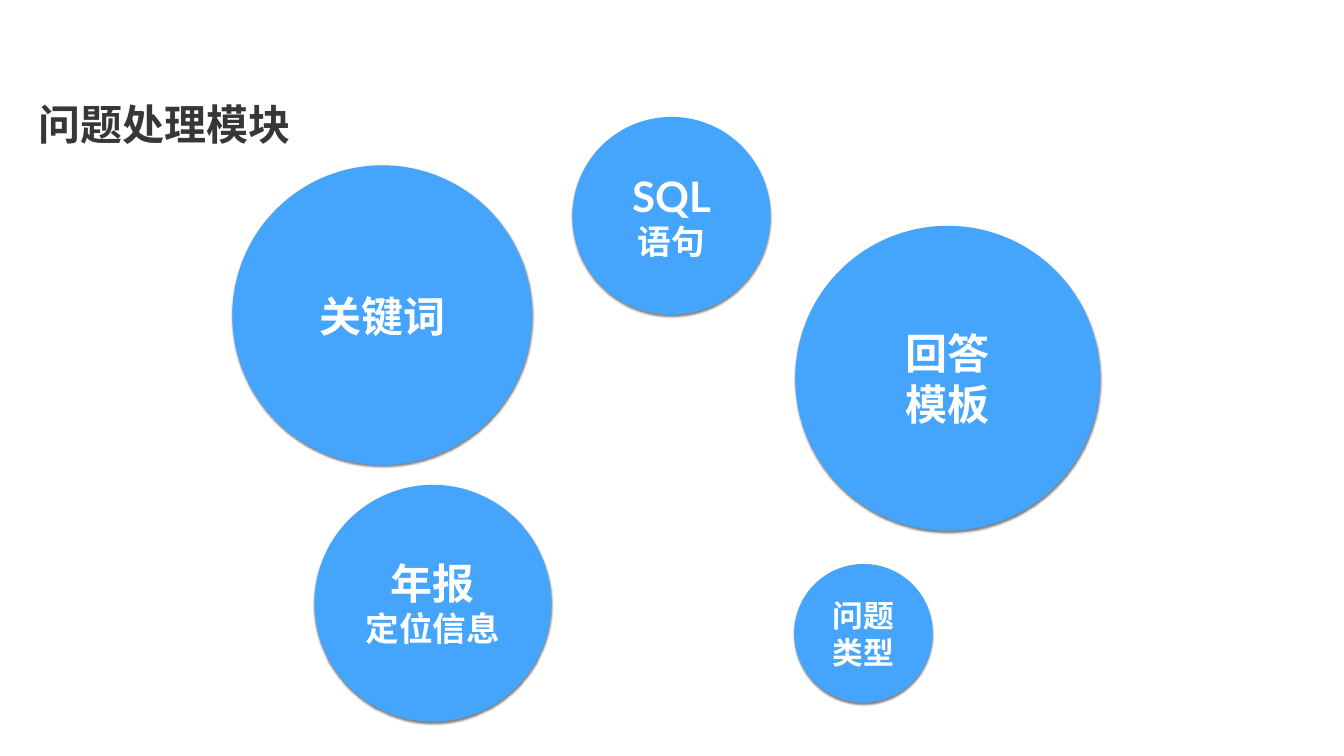
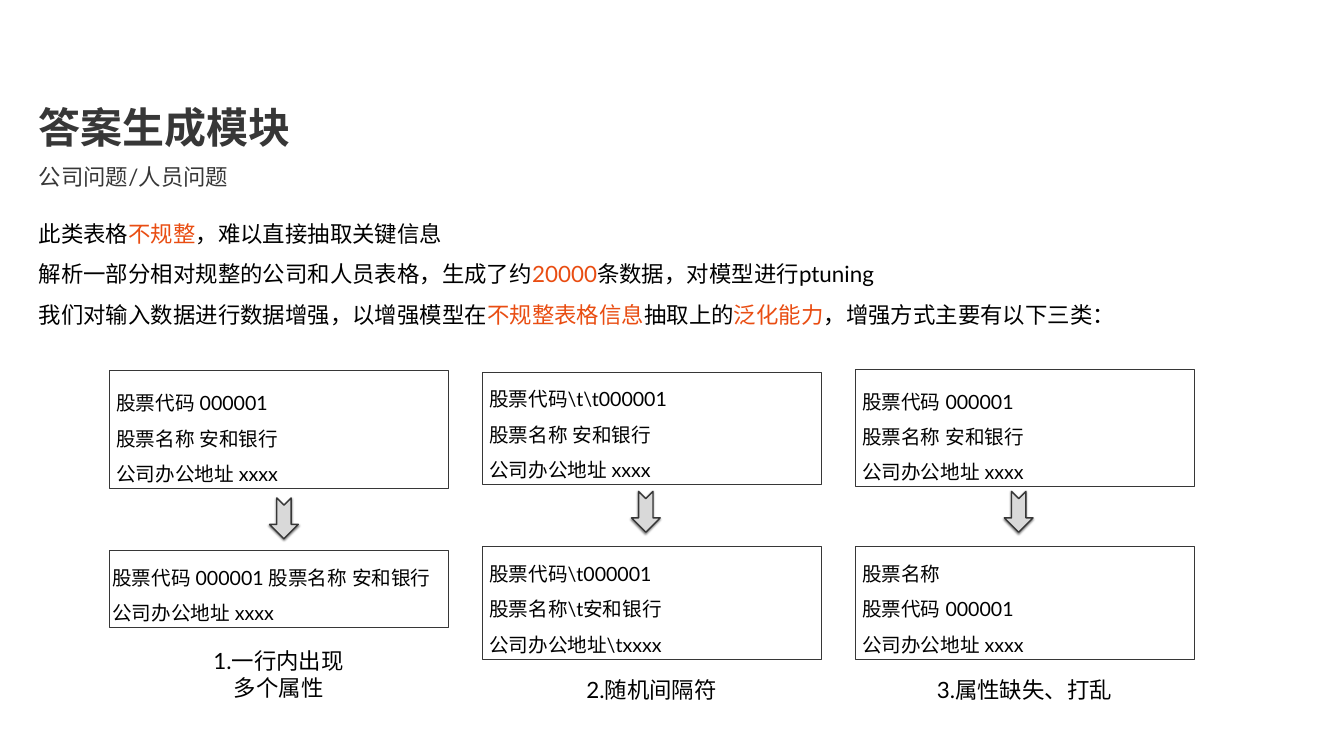
from dataclasses import dataclass

from lxml.etree import SubElement
from pptx import Presentation
from pptx.dml.color import RGBColor
from pptx.enum.shapes import MSO_SHAPE
from pptx.enum.text import MSO_ANCHOR, PP_ALIGN
from pptx.oxml.ns import qn
from pptx.shapes.autoshape import Shape
from pptx.slide import Slide
from pptx.util import Inches, Pt


@dataclass(frozen=True)
class Theme:
    font: str = "Lato"
    ink: str = "373737"
    black: str = "000000"
    white: str = "FFFFFF"
    blue: str = "45A4FC"
    gray: str = "D9D9D9"
    accent: str = "E94D12"
    title: int = 60
    large: int = 48
    medium: int = 44
    body: int = 32
    small: int = 28


@dataclass(frozen=True)
class Bubble:
    left: float
    top: float
    size: float
    lines: tuple[str, ...]
    points: tuple[int, ...]


@dataclass(frozen=True)
class Box:
    top: float
    height: float
    lines: tuple[str, ...]
    indent: float = 0.08


@dataclass(frozen=True)
class Case:
    before: Box
    after: Box
    arrow: tuple[float, float]
    label: tuple[str, ...]
    base: float
    height: float


THEME = Theme()
PITCH = 7.4
WIDTH = 6.73

BUBBLES = (
    Bubble(11.36, 2.32, 3.93, ("SQL", "语句"), (THEME.title, THEME.large)),
    Bubble(15.78, 4.48, 6.05, ("回答", "模板"), (THEME.title,) * 2),
    Bubble(15.76, 11.19, 2.75, ("问题", "类型"), (THEME.medium,) * 2),
    Bubble(6.24, 9.62, 4.7, ("年报", "定位信息"), (THEME.title, THEME.large)),
    Bubble(4.61, 3.28, 5.95, ("关键词",), (THEME.title,)),
)

CODE = "股票代码 000001"
NAME = "股票名称 安和银行"
PLACE = "公司办公地址 xxxx"

CASES = (
    Case(
        Box(7.35, 2.34, (CODE, NAME, PLACE)),
        Box(10.92, 1.53, (f"{CODE} {NAME}", PLACE), 0),
        (3.06, 10), ("1.一行内出现", "多个属性"), 12.83, 1.1,
    ),
    Case(
        Box(7.38, 2.23, (r"股票代码\t\t000001", NAME, PLACE)),
        Box(10.85, 2.23, (r"股票代码\t000001", r"股票名称\t安和银行", r"公司办公地址\txxxx")),
        (2.84, 9.87), ("2.随机间隔符",), 13.38, 0.6,
    ),
    Case(
        Box(7.32, 2.34, (CODE, NAME, PLACE)),
        Box(10.85, 2.23, ("股票名称", CODE, PLACE)),
        (2.84, 9.87), ("3.属性缺失、打乱",), 13.38, 0.6,
    ),
)

NOTES = (
    "此类表格*不规整*，难以直接抽取关键信息",
    "解析一部分相对规整的公司和人员表格，生成了约*20000*条数据，对模型进行ptuning",
    "我们对输入数据进行数据增强，以增强模型在*不规整表格信息*抽取上的*泛化能力*，增强方式主要有以下三类：",
)


def write(
    shape: Shape,
    lines: tuple[str, ...],
    *,
    points: tuple[int, ...] = (THEME.body,),
    color: str = THEME.black,
    bold: bool = False,
    align: PP_ALIGN = PP_ALIGN.LEFT,
    anchor: MSO_ANCHOR = MSO_ANCHOR.MIDDLE,
    pace: float = 1.0,
    indent: float = 0,
) -> None:
    frame = shape.text_frame
    frame.word_wrap = True
    frame.vertical_anchor = anchor
    frame.margin_left = Inches(0.06 + indent)
    frame.margin_right = frame.margin_top = frame.margin_bottom = Inches(0.06)
    for row, line in enumerate(lines):
        para = frame.add_paragraph() if row else frame.paragraphs[0]
        para.alignment = align
        para.line_spacing = pace
        for part, text in enumerate(line.split("*")):
            run = para.add_run()
            run.text = text
            font = run.font
            font.name = THEME.font
            font.size = Pt(points[min(row, len(points) - 1)])
            font.bold = bold
            font.color.rgb = RGBColor.from_string(THEME.accent if part % 2 else color)
            SubElement(run._r.get_or_add_rPr(), qn("a:ea"), typeface=THEME.font)


def label(
    slide: Slide, left: float, top: float, width: float, height: float,
    lines: tuple[str, ...], **style,
) -> None:
    box = slide.shapes.add_textbox(Inches(left), Inches(top), Inches(width), Inches(height))
    write(box, lines, **style)


def head(slide: Slide, text: str, top: float) -> None:
    label(slide, 0.71, top, 7.45, 1.12, (text,),
          points=(THEME.title,), color=THEME.ink, bold=True)


def cast(shape: Shape) -> None:
    effects = shape._element.spPr.find(qn("a:effectLst"))
    shade = SubElement(
        effects, qn("a:outerShdw"), blurRad=str(Pt(3)), dist=str(Pt(2)),
        dir="5400000", rotWithShape="0",
    )
    tone = SubElement(shade, qn("a:srgbClr"), val=THEME.black)
    SubElement(tone, qn("a:alpha"), val="50000")


def draw(
    slide: Slide, kind: MSO_SHAPE, left: float, top: float, width: float, height: float,
    *, fill: str = "", line: float = 0, shade: bool = False,
) -> Shape:
    shape = slide.shapes.add_shape(
        kind, Inches(left), Inches(top), Inches(width), Inches(height))
    shape.shadow.inherit = False
    if fill:
        shape.fill.solid()
        shape.fill.fore_color.rgb = RGBColor.from_string(fill)
    else:
        shape.fill.background()
    if line:
        shape.line.color.rgb = RGBColor.from_string(THEME.ink)
        shape.line.width = Pt(line)
    else:
        shape.line.fill.background()
    if shade:
        cast(shape)
    return shape


def panel(slide: Slide, left: float, box: Box) -> None:
    shape = draw(slide, MSO_SHAPE.RECTANGLE, left, box.top, WIDTH, box.height, line=1)
    write(shape, box.lines, points=(THEME.small,), pace=1.5,
          anchor=MSO_ANCHOR.BOTTOM, indent=box.indent)


def show(slide: Slide, left: float, case: Case) -> None:
    panel(slide, left, case.before)
    panel(slide, left, case.after)
    shift, top = case.arrow
    arrow = draw(slide, MSO_SHAPE.NOTCHED_RIGHT_ARROW, left + shift, top, 0.81, 0.57,
                 fill=THEME.gray, line=2, shade=True)
    arrow.rotation = 90
    label(slide, left + 1.38, case.base, 3.96, case.height, case.label,
          align=PP_ALIGN.CENTER)


def topics(slide: Slide) -> None:
    head(slide, "问题处理模块", 1.9)
    for item in BUBBLES:
        disc = draw(slide, MSO_SHAPE.OVAL, item.left, item.top, item.size, item.size,
                    fill=THEME.blue, shade=True)
        write(disc, item.lines, points=item.points, color=THEME.white,
              bold=True, align=PP_ALIGN.CENTER)


def answers(slide: Slide) -> None:
    label(slide, 0.71, 4.04, 23.78, 2.54, NOTES, pace=1.5, anchor=MSO_ANCHOR.TOP)
    for index, case in enumerate(CASES):
        show(slide, 2.17 + index * PITCH, case)
    head(slide, "答案生成模块", 1.96)
    label(slide, 0.71, 3.18, 3.98, 0.65, ("公司问题/人员问题",), color=THEME.ink)


def main() -> None:
    deck = Presentation()
    deck.slide_width = Inches(26.67)
    deck.slide_height = Inches(15)
    for build in (topics, answers):
        build(deck.slides.add_slide(deck.slide_layouts[6]))
    deck.save("out.pptx")


if __name__ == "__main__":
    main()
